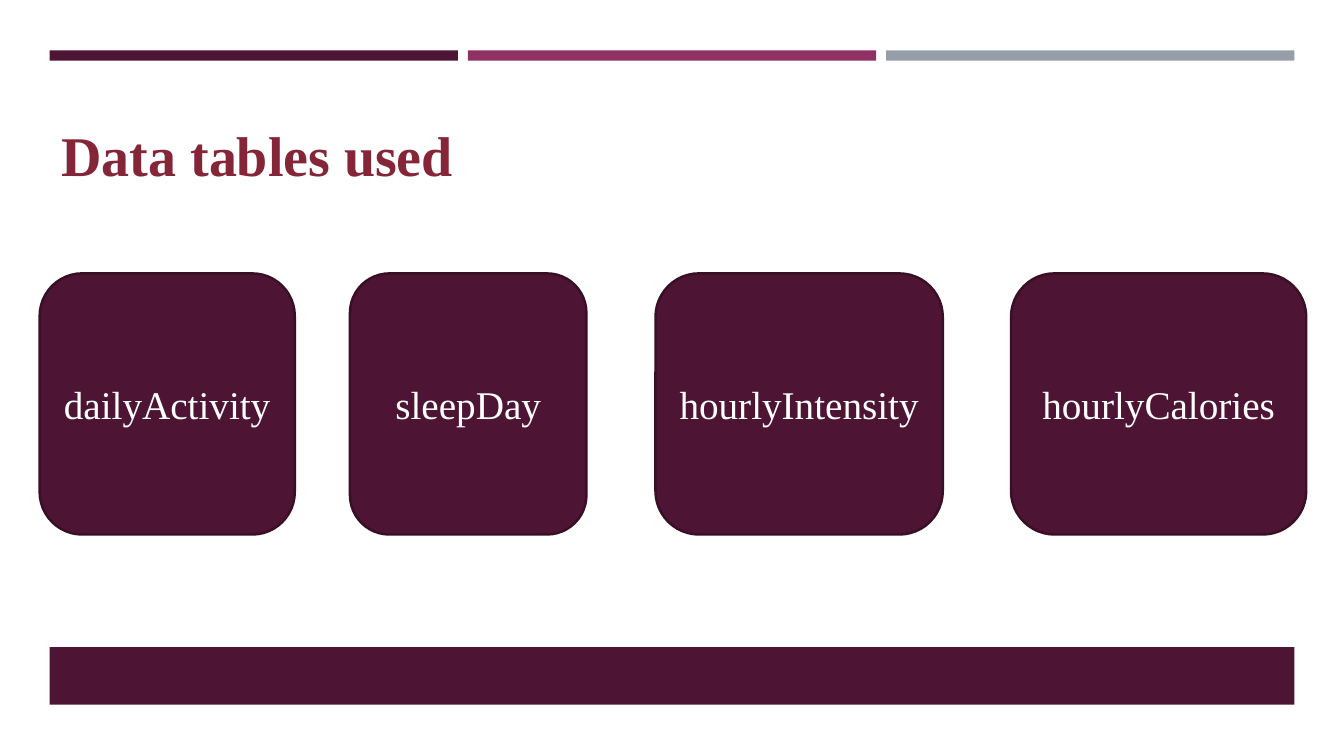
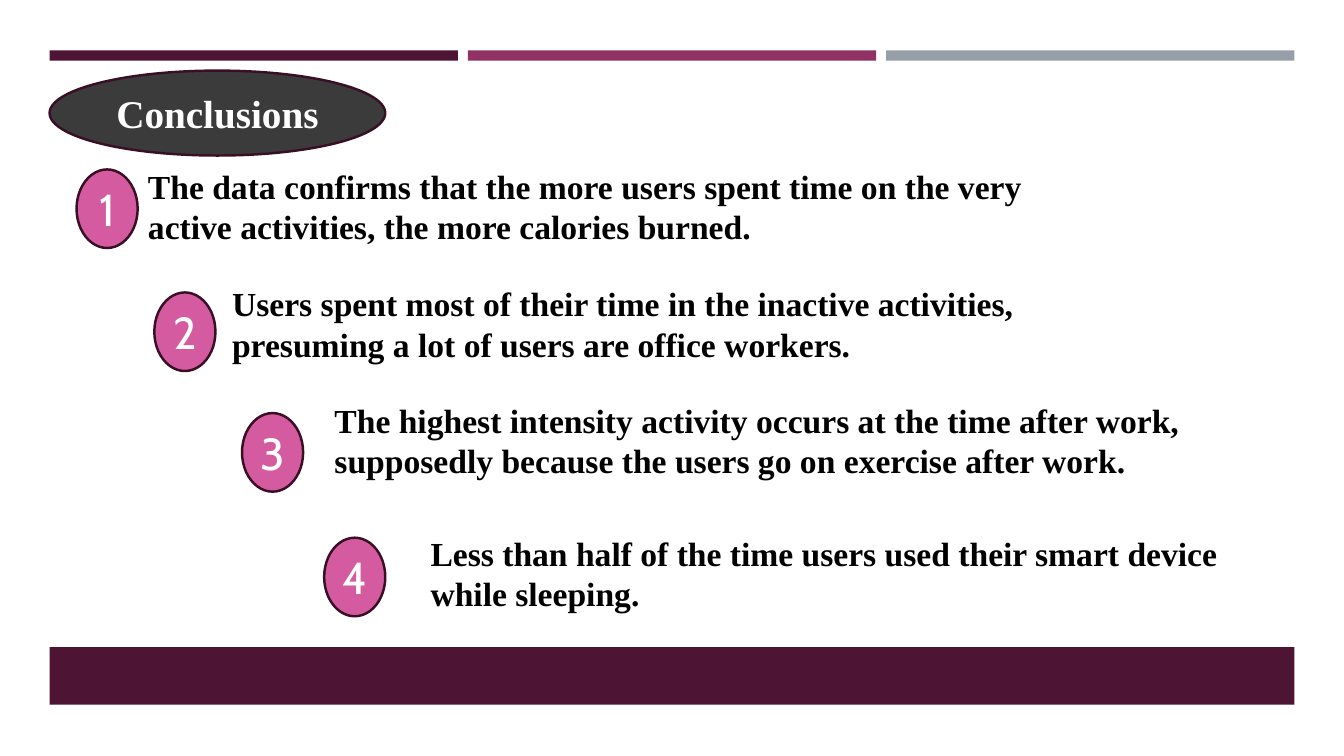
import pptx
import pptx.util
import pptx.dml.color
import pptx.enum.shapes
import pptx.enum.text

Cm = pptx.util.Cm
SHAPE = pptx.enum.shapes.MSO_SHAPE
ALIGN = pptx.enum.text.PP_ALIGN
ANCHOR = pptx.enum.text.MSO_ANCHOR

COLORS = {
    "plum": "4D1434",
    "magenta": "903163",
    "gray": "969FA7",
    "outline": "390F26",
    "title": "852638",
    "pink": "D45B9F",
    "charcoal": "3B3B3B",
    "white": "FFFFFF",
    "black": "000000",
}
SERIF = "Times New Roman"


def add_text(sp, text, size=24, color="black", bold=False, font=SERIF,
             align=ALIGN.LEFT, anchor=ANCHOR.TOP, wrap=True):
    tf = sp.text_frame
    tf.word_wrap = wrap
    tf.vertical_anchor = anchor
    p = tf.paragraphs[0]
    p.alignment = align
    r = p.add_run()
    r.text = text
    r.font.size = pptx.util.Pt(size)
    r.font.name = font
    r.font.bold = bold
    r.font.color.rgb = pptx.dml.color.RGBColor.from_string(COLORS[color])


def add_shape(s, kind, left, top, width, height, fill, outlined=True):
    sp = s.shapes.add_shape(kind, Cm(left), Cm(top), Cm(width), Cm(height))
    sp.shadow.inherit = False
    sp.fill.solid()
    sp.fill.fore_color.rgb = pptx.dml.color.RGBColor.from_string(COLORS[fill])
    if outlined:
        sp.line.color.rgb = pptx.dml.color.RGBColor.from_string(COLORS["outline"])
        sp.line.width = pptx.util.Pt(1.75)
    else:
        sp.line.fill.background()
    return sp


prs = pptx.Presentation()
prs.slide_width, prs.slide_height = Cm(33.87), Cm(19.05)
tables_slide, conclusions_slide = [
    prs.slides.add_slide(prs.slide_layouts[6]) for _ in range(2)]

# Shared bands: three bars on top, one at the foot
MARGIN, BAR_WIDTH, BAR_GAP = 1.25, 10.29, 0.25
for s in prs.slides:
    for i, color in enumerate(("plum", "magenta", "gray")):
        add_shape(s, SHAPE.RECTANGLE, MARGIN + i * (BAR_WIDTH + BAR_GAP), 1.27,
                  BAR_WIDTH, 0.26, color, outlined=False)
    add_shape(s, SHAPE.RECTANGLE, MARGIN, 16.31, 3 * BAR_WIDTH + 2 * BAR_GAP,
              1.45, "plum", outlined=False)

white_label = dict(color="white", align=ALIGN.CENTER, anchor=ANCHOR.MIDDLE,
                   wrap=False)

# Slide 1: title and table names
sp = tables_slide.shapes.add_textbox(Cm(1.3), Cm(2.92), Cm(14.02), Cm(1.96))
add_text(sp, "Data tables used", size=40, color="title", bold=True)

table_cards = [
    ("dailyActivity", 1.0, 6.43),
    ("sleepDay", 8.82, 5.96),
    ("hourlyIntensity", 16.52, 7.24),
    ("hourlyCalories", 25.48, 7.44),
]
for name, left, width in table_cards:
    sp = add_shape(tables_slide, SHAPE.ROUNDED_RECTANGLE, left, 6.89, width, 6.58,
                   "plum")
    add_text(sp, name, size=28, **white_label)

# Slide 2: heading and numbered conclusions
sp = add_shape(conclusions_slide, SHAPE.OVAL, MARGIN, 1.78, 8.46, 2.14, "charcoal")
add_text(sp, "Conclusions", size=28, bold=True, **white_label)

# Text, number left and top, text left, top and width
conclusions = [
    ("The data confirms that the more users spent time on the very "
     "active activities, the more calories burned.",
     1.93, 4.27, 3.48, 4.06, 22.99),
    ("Users spent most of their time in the inactive activities, "
     "presuming a lot of users are office workers.",
     3.89, 7.37, 5.6, 7.01, 22.99),
    ("The highest intensity activity occurs at the time after work, "
     "supposedly because the users go on exercise after work.",
     6.1, 10.41, 8.18, 9.94, 22.86),
    ("Less than half of the time users used their smart device "
     "while sleeping.",
     8.17, 13.55, 10.6, 13.3, 21.79),
]
for number, (text, num_left, num_top, left, top, width) in enumerate(conclusions, 1):
    sp = add_shape(conclusions_slide, SHAPE.FLOWCHART_CONNECTOR, num_left, num_top,
                   1.54, 1.98, "pink")
    add_text(sp, str(number), size=32, font="Cabin", **white_label)
    sp = conclusions_slide.shapes.add_textbox(Cm(left), Cm(top), Cm(width), Cm(2.31))
    add_text(sp, text, bold=True)

prs.save("out.pptx")
